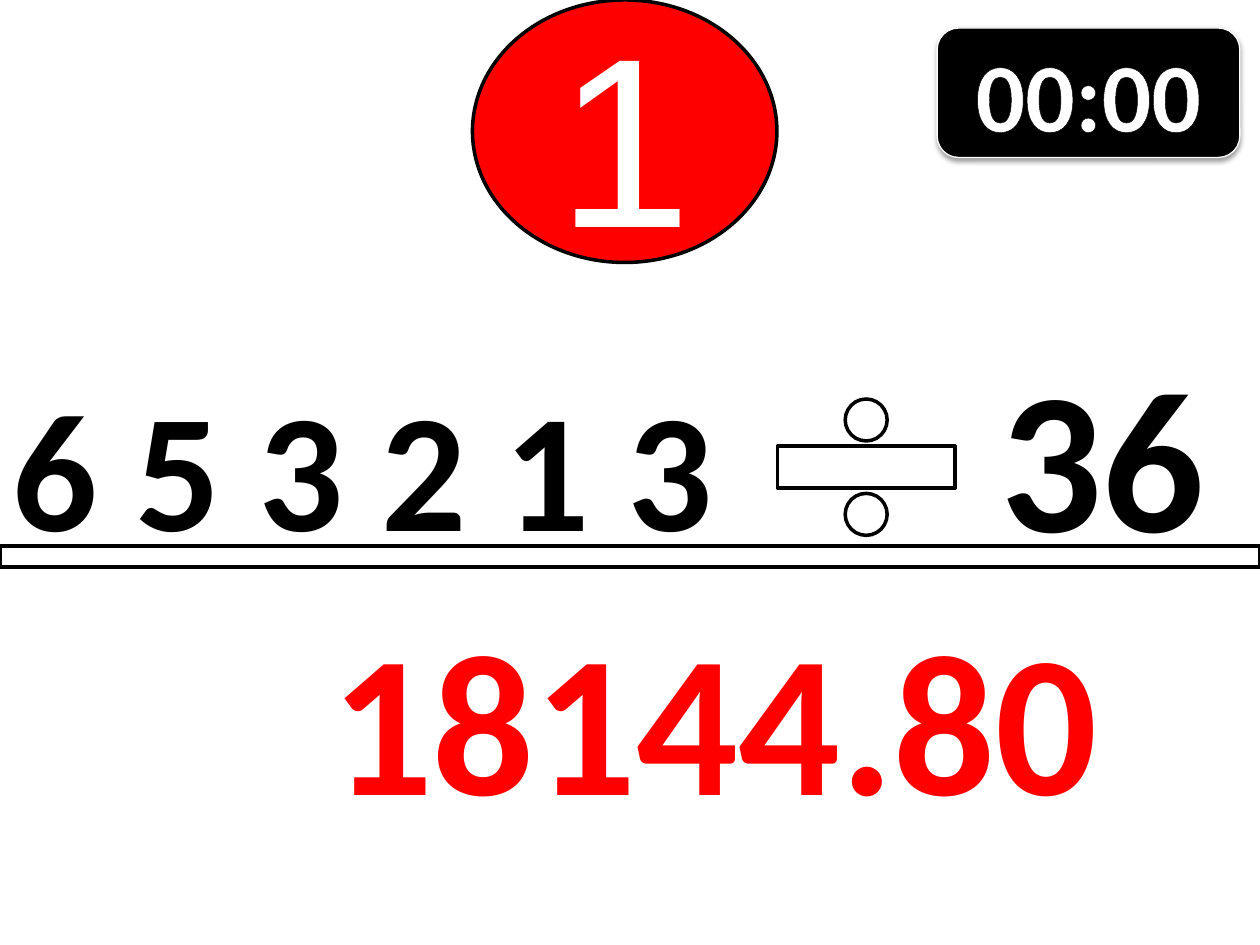
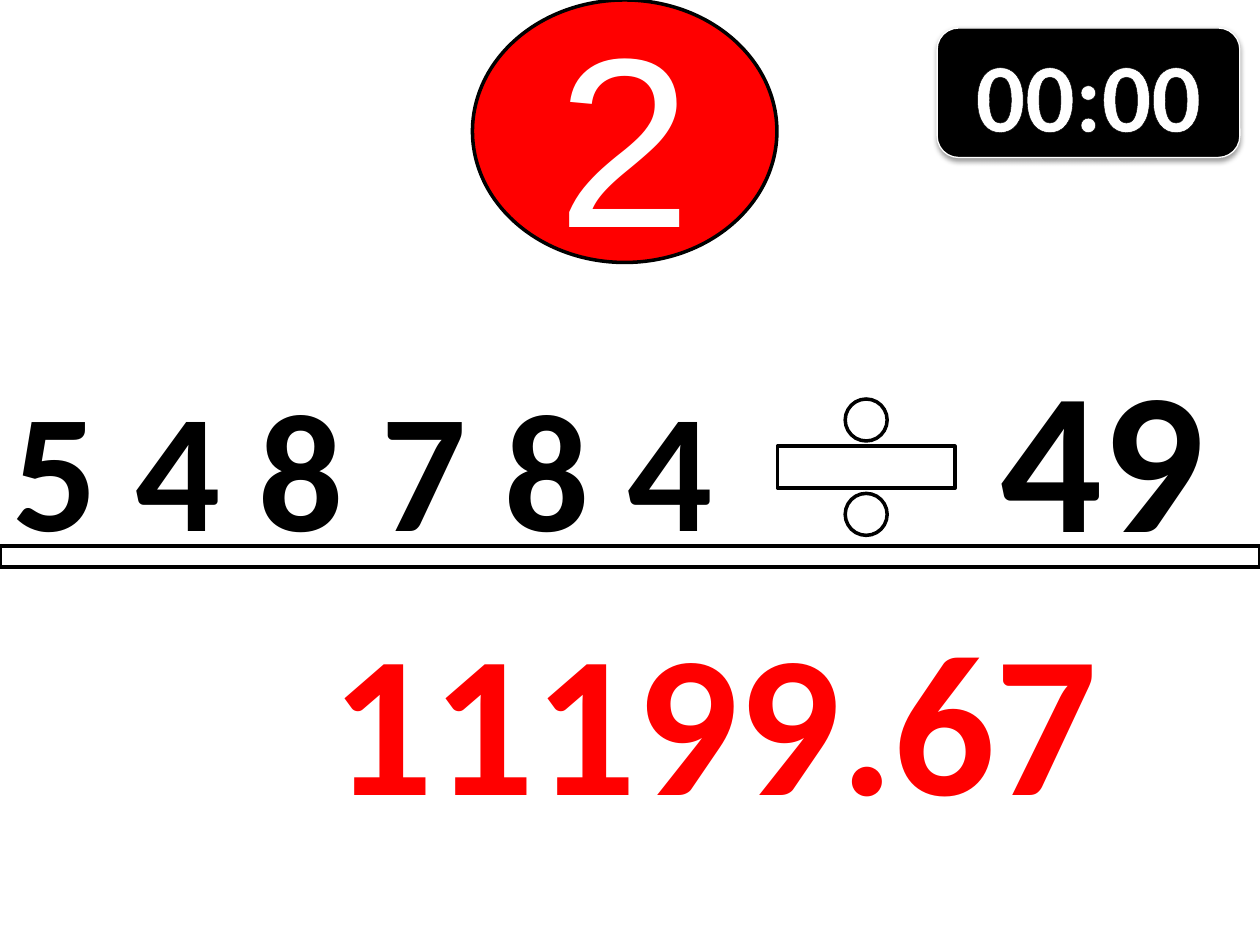
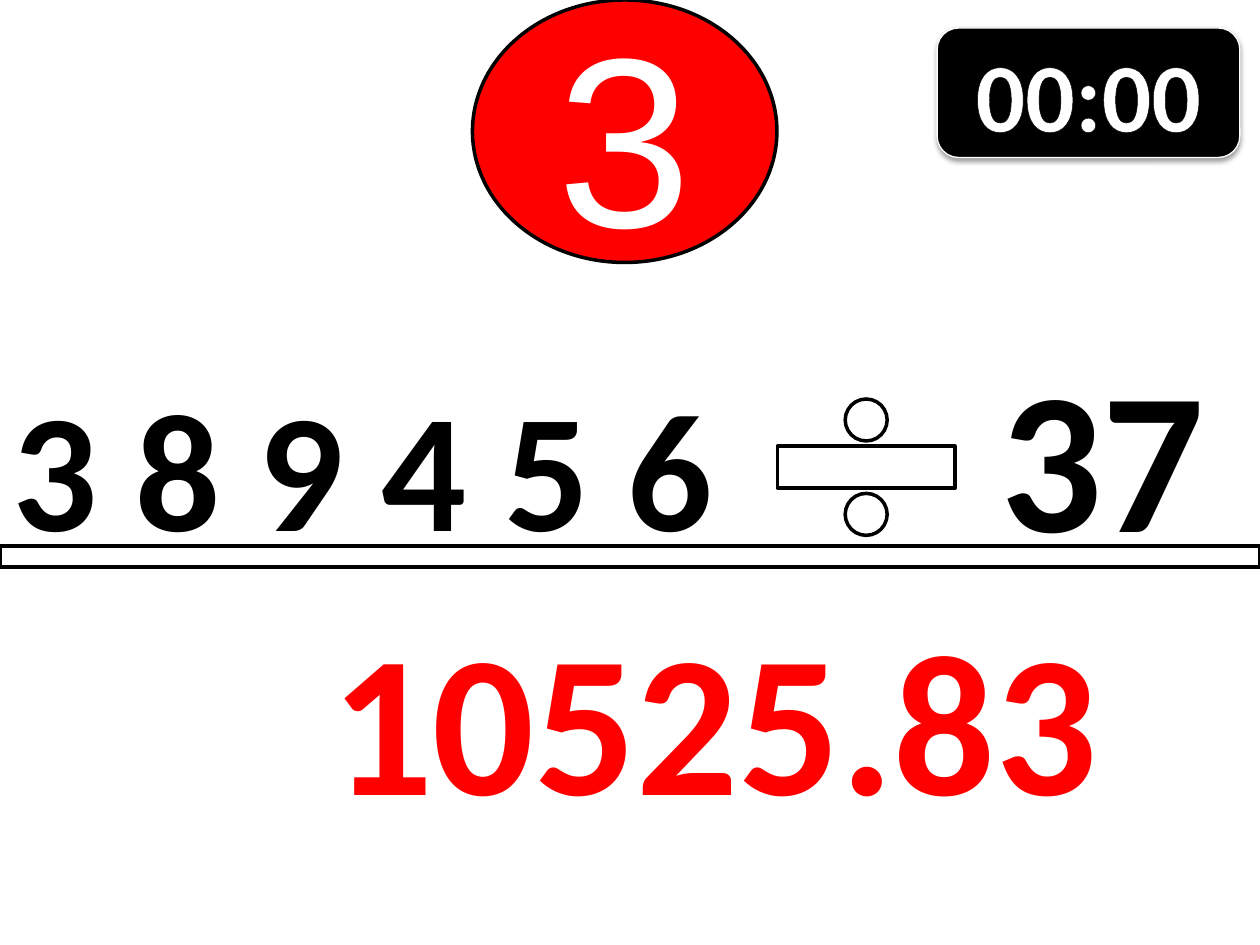
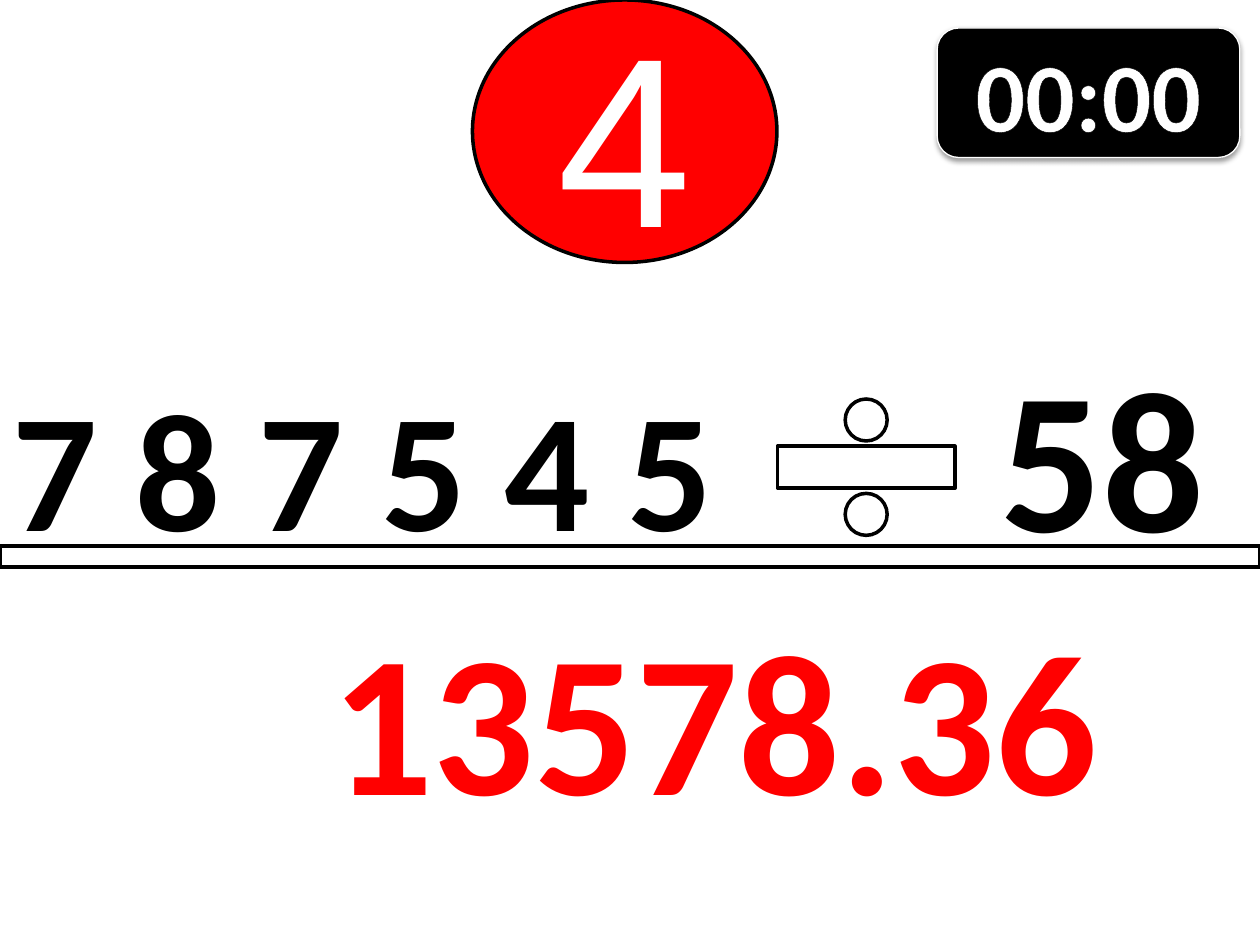
from lxml.etree import SubElement
from pptx import Presentation
from pptx.dml.color import RGBColor
from pptx.enum.shapes import MSO_SHAPE
from pptx.enum.text import MSO_ANCHOR, MSO_AUTO_SIZE, PP_ALIGN
from pptx.oxml import parse_xml
from pptx.oxml.ns import nsdecls, qn
from pptx.util import Pt

# Shared look
HUES = {"ink": "000000", "paper": "FFFFFF", "accent": "FF0000"}

# Number, dividend, divisor, answer
SUMS = [
    ("1", "6 5 3 2 1 3", "36", "18144.80"),
    ("2", "5 4 8 7 8 4", "49", "11199.67"),
    ("3", "3 8 9 4 5 6", "37", "10525.83"),
    ("4", "7 8 7 5 4 5", "58", "13578.36"),
]


def draw(slide, kind, spot, fill, line, width):
    """Add a flat preset shape with its own fill and line."""
    shape = slide.shapes.add_shape(kind, *[Pt(n) for n in spot])
    shape.shadow.inherit = False
    shape.fill.solid()
    shape.fill.fore_color.rgb = RGBColor.from_string(HUES[fill])
    shape.line.color.rgb = RGBColor.from_string(HUES[line])
    shape.line.width = Pt(width)
    return shape


def write(shape, text, size, hue, face="Calibri", edge=None, align=PP_ALIGN.CENTER):
    """Add one run; edge is the (colour, width) of the letter outline."""
    para = shape.text_frame.paragraphs[0]
    para.alignment = align
    run = para.add_run()
    run.text = text
    run.font.size = Pt(size)
    run.font.name = face
    run.font.color.rgb = RGBColor.from_string(HUES[hue])
    if edge:
        run.font.bold = True
        tint, width = edge
        run._r.get_or_add_rPr().insert(0, parse_xml(
            f'<a:ln {nsdecls("a")} w="{Pt(width)}"><a:solidFill>'
            f'<a:srgbClr val="{HUES[tint]}"/></a:solidFill></a:ln>'))


deck = Presentation()
deck.slide_width, deck.slide_height = Pt(720), Pt(540)

for number, top, base, answer in SUMS:
    slide = deck.slides.add_slide(deck.slide_layouts[6])

    # Question number
    badge = draw(slide, MSO_SHAPE.OVAL, (270, 0, 174, 150), "accent", "ink", 2)
    badge.text_frame.vertical_anchor = MSO_ANCHOR.MIDDLE
    write(badge, number, 138, "paper", "Arial")

    # Division sign and rule
    draw(slide, MSO_SHAPE.MATH_DIVIDE, (426, 216, 138, 102), "paper", "ink", 2)
    draw(slide, MSO_SHAPE.RECTANGLE, (0, 312, 720, 12), "paper", "ink", 2)

    # Dividend, divisor and answer
    for text, spot, size, hue, align, wrap in [
        (top, (0, 204, 463, 124), 96, "ink", PP_ALIGN.LEFT, True),
        (base, (564, 186, 132.5, 147), 115, "ink", PP_ALIGN.CENTER, False),
        (answer, (180, 336, 457, 147), 115, "accent", PP_ALIGN.CENTER, False),
    ]:
        box = slide.shapes.add_textbox(*[Pt(n) for n in spot])
        box.text_frame.word_wrap = wrap
        box.text_frame.auto_size = MSO_AUTO_SIZE.SHAPE_TO_FIT_TEXT
        write(box, text, size, hue, edge=(hue, 1.45), align=align)

    # Timer with a soft shadow
    timer = draw(slide, MSO_SHAPE.ROUNDED_RECTANGLE, (535.5, 16, 173, 74),
                 "ink", "paper", 0.75)
    frame = timer.text_frame
    frame.vertical_anchor = MSO_ANCHOR.MIDDLE
    frame.margin_left = frame.margin_right = Pt(6)
    frame.margin_top = frame.margin_bottom = Pt(3)
    write(timer, "00:00", 56, "paper", edge=("ink", 2.48))
    glow = SubElement(timer._element.spPr.find(qn("a:effectLst")), qn("a:outerShdw"),
                      blurRad=str(Pt(3.1)), dist=str(Pt(1.6)), dir="5400000",
                      rotWithShape="0")
    tint = SubElement(glow, qn("a:srgbClr"), val=HUES["ink"])
    SubElement(tint, qn("a:alpha"), val="38000")

deck.save("out.pptx")
